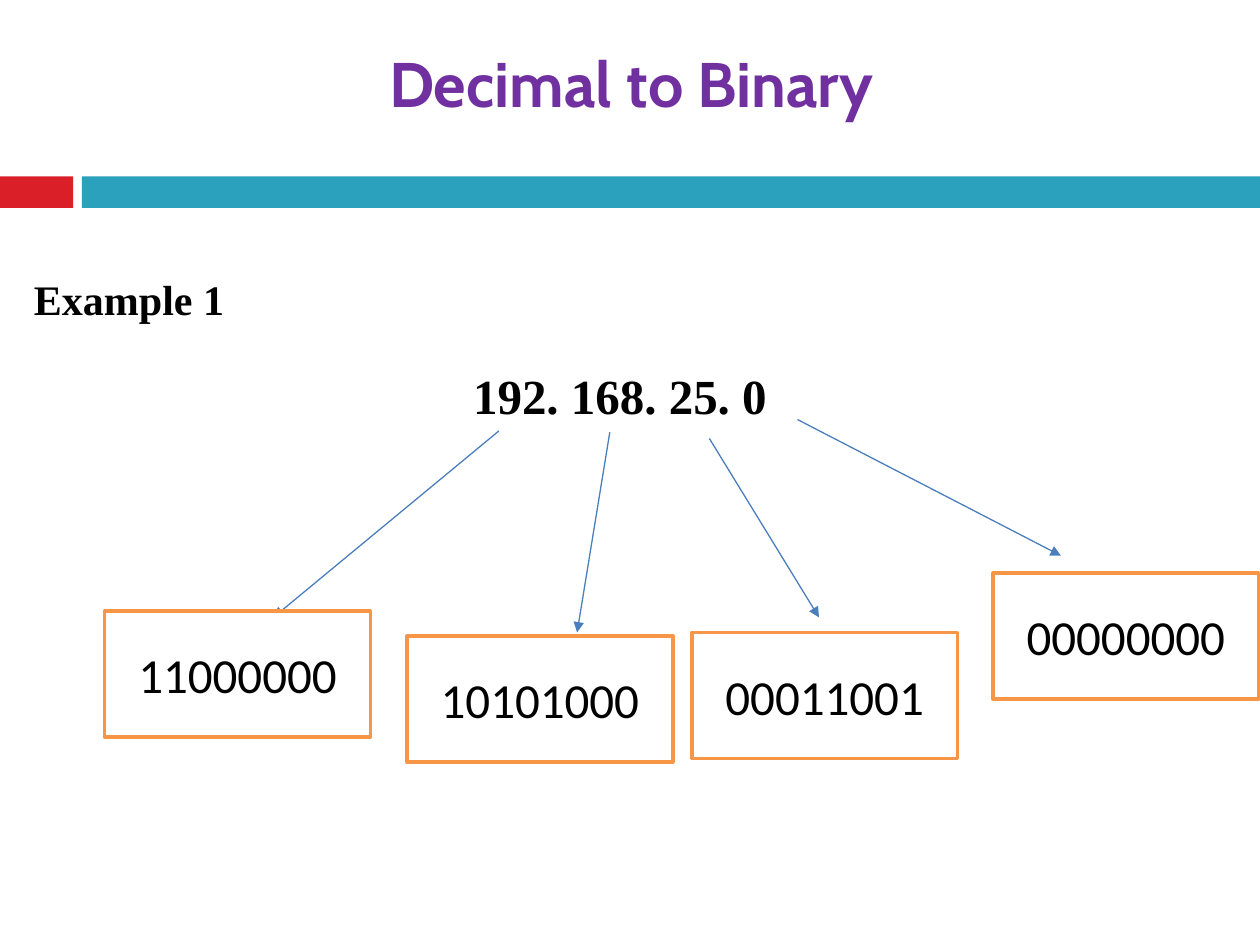
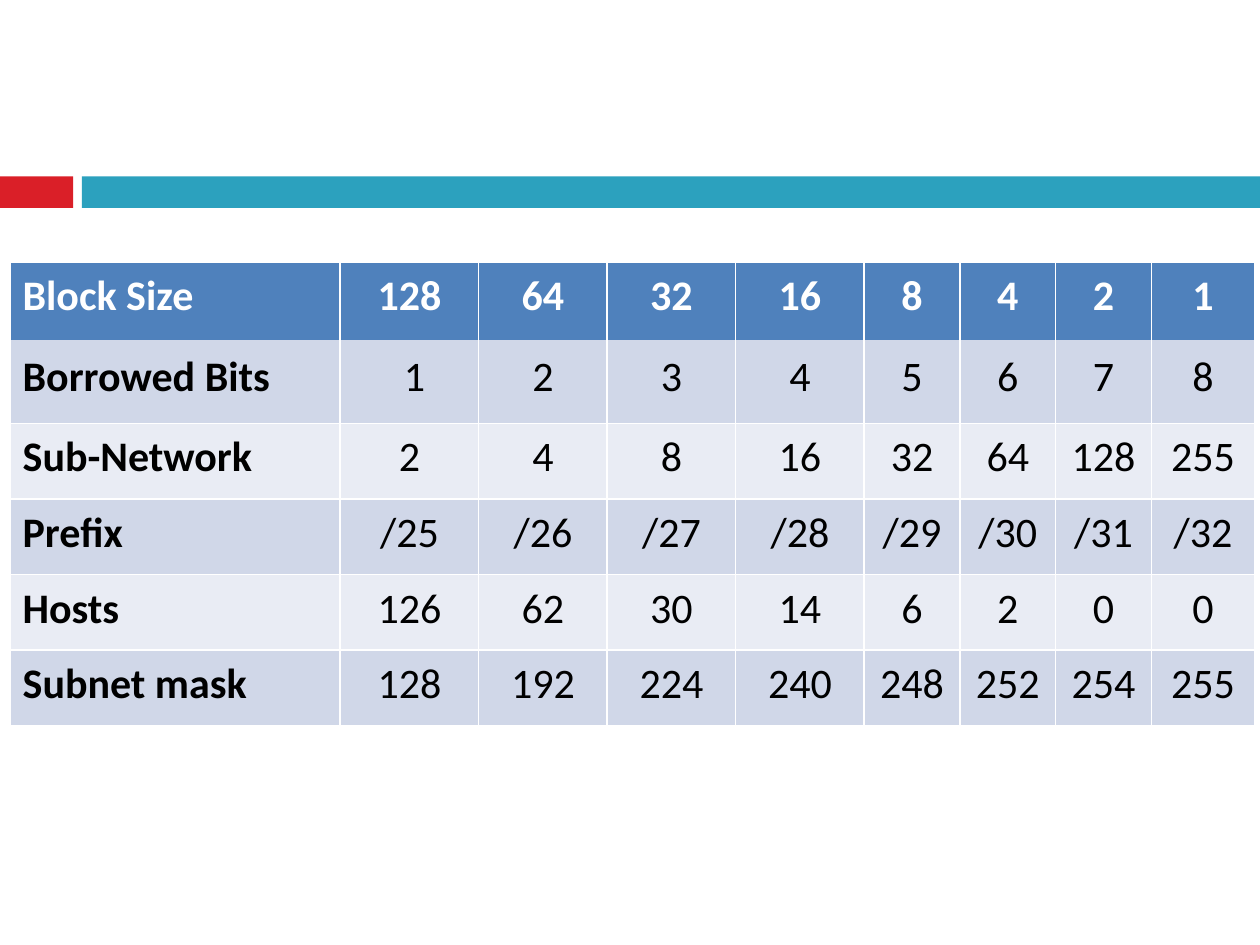
"""Build two slides on converting an address to binary and on subnet sizes."""
from dataclasses import dataclass

from lxml.etree import SubElement
from pptx import Presentation
from pptx.dml.color import RGBColor
from pptx.enum.shapes import MSO_CONNECTOR as Connector, MSO_SHAPE as Shape
from pptx.enum.text import MSO_ANCHOR as Anchor, PP_ALIGN as Align
from pptx.oxml import parse_xml
from pptx.oxml.ns import nsdecls, qn
from pptx.util import Inches, Pt


@dataclass(frozen=True)
class Theme:
    red: str = "DA1F28"
    teal: str = "2CA1BE"
    purple: str = "7030A0"
    black: str = "000000"
    white: str = "FFFFFF"
    arrow: str = "4B7EBC"
    orange: str = "F79646"
    header: str = "4F81BC"
    stripes: tuple = ("D0D7E8", "E9ECF4")
    title_font: str = "Cabin"
    serif: str = "Times New Roman"
    sans: str = "Calibri"
    title_size: int = 36
    text_size: int = 24
    large_size: int = 28


THEME = Theme()
SLIDE_SIZE = (10, 7.5)
BAND_TOP, BAND_HEIGHT = 1.4, 0.25
BANDS = [(0, 0.58, THEME.red), (0.65, 9.35, THEME.teal)]

TITLE = "Decimal to Binary"
EXAMPLE = "Example 1"
ADDRESS = "192. 168. 25. 0"
OCTET_SIZE = (2.11, 1)
OCTETS = [
    ("11000000", (0.83, 4.85), (3.96, 3.42), (2.17, 4.9)),
    ("10101000", (3.23, 5.05), (4.84, 3.43), (4.58, 5.02)),
    ("00011001", (5.49, 5.02), (5.63, 3.48), (6.5, 4.9)),
    ("00000000", (7.88, 4.55), (6.33, 3.33), (8.42, 4.41)),
]

SUBNETS = [
    ["Block Size", "128", "64", "32", "16", "8", "4", "2", "1"],
    ["Borrowed Bits", "1", "2", "3", "4", "5", "6", "7", "8"],
    ["Sub-Network", "2", "4", "8", "16", "32", "64", "128", "255"],
    ["Prefix", "/25", "/26", "/27", "/28", "/29", "/30", "/31", "/32"],
    ["Hosts", "126", "62", "30", "14", "6", "2", "0", "0"],
    ["Subnet mask", "128", "192", "224", "240", "248", "252", "254", "255"],
]
TABLE_LEFT, TABLE_TOP = 0.08, 2.08
COLUMN_WIDTHS = [2.62, 1.1] + [1.02] * 3 + [0.76] * 3 + [0.82]
ROW_HEIGHTS = [0.62, 0.66] + [0.6] * 4


def rgb(color):
    return RGBColor.from_string(color)


def style_text(frame, font, size, color, bold=False, align=Align.LEFT):
    for para in frame.paragraphs:
        para.alignment = align
        for span in para.runs:
            span.font.name = font
            span.font.size = Pt(size)
            span.font.bold = bold
            span.font.color.rgb = rgb(color)


def add_rectangle(page, left, top, width, height, fill, line=None):
    box = page.shapes.add_shape(
        Shape.RECTANGLE, *map(Inches, (left, top, width, height)))
    box.shadow.inherit = False
    box.fill.solid()
    box.fill.fore_color.rgb = rgb(fill)
    if line:
        box.line.color.rgb = rgb(line)
        box.line.width = Pt(2)
    else:
        box.line.fill.background()
    return box


def add_text(page, text, place, font, size, color, align=Align.LEFT):
    box = page.shapes.add_textbox(*map(Inches, place))
    frame = box.text_frame
    frame.word_wrap = True
    frame.margin_left = frame.margin_right = 0
    frame.margin_top = frame.margin_bottom = 0
    frame.text = text
    style_text(frame, font, size, color, True, align)


def add_arrow(page, start, end):
    arrow = page.shapes.add_connector(
        Connector.STRAIGHT, *map(Inches, start + end))
    arrow.line.color.rgb = rgb(THEME.arrow)
    arrow.line.width = Pt(0.75)
    SubElement(arrow.line._get_or_add_ln(), qn("a:tailEnd"), type="triangle")
    SubElement(arrow._element.spPr, qn("a:effectLst"))


def set_borders(cell, hidden_side):
    properties = cell._tc.get_or_add_tcPr()
    for position, side in enumerate("LRTB"):
        paint = "<a:noFill/>" if side == hidden_side else (
            f'<a:solidFill><a:srgbClr val="{THEME.white}"/></a:solidFill>')
        properties.insert(position, parse_xml(
            f'<a:ln{side} {nsdecls("a")} w="{Pt(1)}">{paint}</a:ln{side}>'))


def add_page(deck):
    page = deck.slides.add_slide(deck.slide_layouts[6])
    for left, width, color in BANDS:
        add_rectangle(page, left, BAND_TOP, width, BAND_HEIGHT, color)
    return page


def build_conversion(deck):
    page = add_page(deck)
    add_text(page, TITLE, (0.83, 0.35, 8.36, 0.61), THEME.title_font,
             THEME.title_size, THEME.purple, Align.CENTER)
    add_text(page, EXAMPLE, (0.27, 2.17, 4, 0.4), THEME.serif,
             THEME.text_size, THEME.black)
    add_text(page, ADDRESS, (2.92, 2.9, 4, 0.45), THEME.serif,
             THEME.large_size, THEME.black, Align.CENTER)
    for bits, corner, start, end in OCTETS:
        add_arrow(page, start, end)
        box = add_rectangle(page, *corner, *OCTET_SIZE, THEME.white, THEME.orange)
        box.text_frame.text = bits
        box.text_frame.vertical_anchor = Anchor.MIDDLE
        style_text(box.text_frame, THEME.sans, THEME.large_size, THEME.black,
                   align=Align.CENTER)


def build_subnets(deck):
    page = add_page(deck)
    place = (TABLE_LEFT, TABLE_TOP, sum(COLUMN_WIDTHS), sum(ROW_HEIGHTS))
    table = page.shapes.add_table(
        len(SUBNETS), len(COLUMN_WIDTHS), *map(Inches, place)).table
    table.first_row = table.horz_banding = False
    for column, width in zip(table.columns, COLUMN_WIDTHS):
        column.width = Inches(width)
    for row_index, values in enumerate(SUBNETS):
        table.rows[row_index].height = Inches(ROW_HEIGHTS[row_index])
        is_header = row_index == 0
        fill = THEME.header if is_header else THEME.stripes[(row_index - 1) % 2]
        for column_index, value in enumerate(values):
            cell = table.cell(row_index, column_index)
            is_label = column_index == 0
            cell.text = value
            cell.margin_left = Inches(0.1 if is_label else 0)
            cell.margin_right = cell.margin_bottom = 0
            cell.margin_top = Inches(0.09 if row_index == 1 else 0.07)
            cell.fill.solid()
            cell.fill.fore_color.rgb = rgb(fill)
            set_borders(cell, {0: "B", 1: "T"}.get(row_index))
            style_text(cell.text_frame, THEME.sans, THEME.text_size,
                       THEME.white if is_header else THEME.black,
                       is_header or is_label,
                       Align.LEFT if is_label else Align.CENTER)
    table.cell(1, 1).margin_left = Inches(0.08)


def main():
    deck = Presentation()
    deck.slide_width, deck.slide_height = map(Inches, SLIDE_SIZE)
    build_conversion(deck)
    build_subnets(deck)
    deck.save("out.pptx")


if __name__ == "__main__":
    main()
